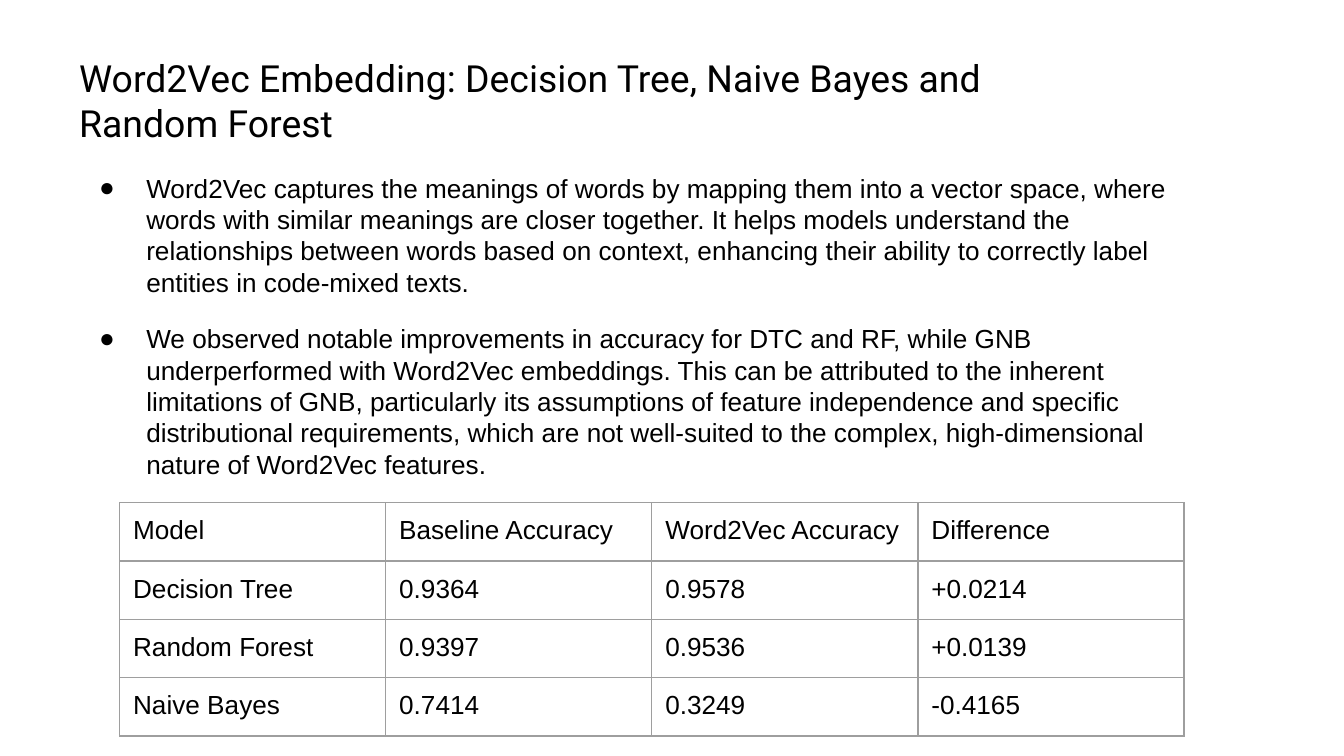
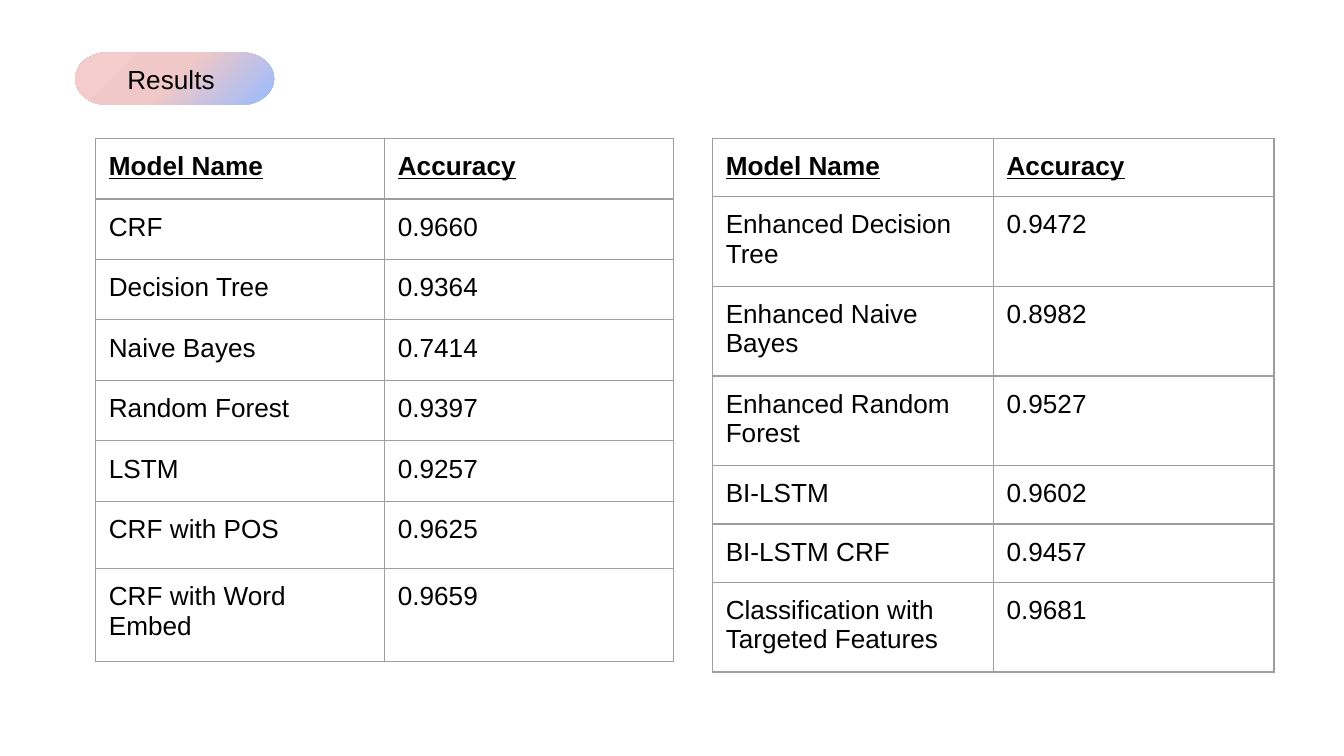
"""Build two slides comparing the accuracy of sequence labelling models."""
from lxml import etree
from pptx import Presentation, util as u
from pptx.dml.color import RGBColor
from pptx.enum import shapes, text
from pptx.oxml import parse_xml
from pptx.oxml.ns import nsdecls, qn

BLACK, GREY = "000000", "9E9E9E"
BODY_FONT, TITLE_FONT = "Arial", "Roboto"

TITLE = "Word2Vec Embedding: Decision Tree, Naive Bayes and Random Forest"
BULLETS = [
    "Word2Vec captures the meanings of words by mapping them into a vector space, where "
    "words with similar meanings are closer together. It helps models understand the "
    "relationships between words based on context, enhancing their ability to correctly "
    "label entities in code-mixed texts.",
    "We observed notable improvements in accuracy for DTC and RF, while GNB underperformed "
    "with Word2Vec embeddings. This can be attributed to the inherent limitations of GNB, "
    "particularly its assumptions of feature independence and specific distributional "
    "requirements, which are not well-suited to the complex, high-dimensional nature of "
    "Word2Vec features.",
]
COMPARISON = [
    ("Model", "Baseline Accuracy", "Word2Vec Accuracy", "Difference"),
    ("Decision Tree", "0.9364", "0.9578", "+0.0214"),
    ("Random Forest", "0.9397", "0.9536", "+0.0139"),
    ("Naive Bayes", "0.7414", "0.3249", "-0.4165"),
]
RESULTS_HEAD = ("Model Name", "Accuracy")
BASE_RESULTS = [
    RESULTS_HEAD,
    ("CRF", "0.9660"),
    ("Decision Tree", "0.9364"),
    ("Naive Bayes", "0.7414"),
    ("Random Forest", "0.9397"),
    ("LSTM", "0.9257"),
    ("CRF with POS", "0.9625"),
    ("CRF with Word Embed", "0.9659"),
]
ENHANCED_RESULTS = [
    RESULTS_HEAD,
    ("Enhanced Decision Tree", "0.9472"),
    ("Enhanced Naive Bayes", "0.8982"),
    ("Enhanced Random Forest", "0.9527"),
    ("BI-LSTM", "0.9602"),
    ("BI-LSTM CRF", "0.9457"),
    ("Classification with Targeted Features", "0.9681"),
]
BADGE_STOPS = [(0, "F4CCCC"), (50, "F0C8C8"), (100, "98BBFF")]


def rgb(value):
    return RGBColor.from_string(value)


def style(p, size=14, font=BODY_FONT, strong=False):
    for r in p.runs:
        r.font.size, r.font.name = u.Pt(size), font
        r.font.bold = r.font.underline = strong
        r.font.color.rgb = rgb(BLACK)


def set_insets(frame):
    for side in ("left", "top", "right", "bottom"):
        setattr(frame, f"margin_{side}", u.Inches(0.1))


def add_text(s, *box):
    tf = s.shapes.add_textbox(*map(u.Inches, box)).text_frame
    tf.word_wrap = True
    set_insets(tf)
    return tf


def add_bullet(p):
    p.line_spacing = 1.0
    pPr = p._p.get_or_add_pPr()
    pPr.set("marL", str(u.Inches(0.5)))
    pPr.set("indent", str(u.Inches(-0.35)))
    color = etree.SubElement(pPr, qn("a:buClr"))
    etree.SubElement(color, qn("a:srgbClr")).set("val", BLACK)
    etree.SubElement(pPr, qn("a:buSzPts")).set("val", "1400")
    etree.SubElement(pPr, qn("a:buFont")).set("typeface", BODY_FONT)
    etree.SubElement(pPr, qn("a:buChar")).set("char", "●")


def add_borders(cell):
    tcPr = cell._tc.get_or_add_tcPr()
    for side in ("lnL", "lnR", "lnT", "lnB"):
        ln = etree.SubElement(tcPr, qn(f"a:{side}"), w=str(u.Pt(0.75)))
        fill = etree.SubElement(ln, qn("a:solidFill"))
        etree.SubElement(fill, qn("a:srgbClr")).set("val", GREY)


def add_table(s, rows, left, top, col_width, heights, strong_head=False):
    columns = len(rows[0])
    table = s.shapes.add_table(
        len(rows), columns, u.Inches(left), u.Inches(top),
        u.Inches(col_width * columns), u.Inches(sum(heights))).table
    table.first_row = table.horz_banding = False
    for column in table.columns:
        column.width = u.Inches(col_width)
    for i, (row, height) in enumerate(zip(rows, heights)):
        table.rows[i].height = u.Inches(height)
        for j, value in enumerate(row):
            cell = table.cell(i, j)
            set_insets(cell)
            add_borders(cell)
            cell.fill.background()
            cell.text = value
            p = cell.text_frame.paragraphs[0]
            p.line_spacing = 1.0
            style(p, strong=strong_head and i == 0)


def add_badge(s, label, *box):
    sp = s.shapes.add_shape(shapes.MSO_SHAPE.FLOWCHART_TERMINATOR, *map(u.Inches, box))
    sp.shadow.inherit = False
    sp.line.fill.background()
    sp.fill.background()
    stops = "".join(f'<a:gs pos="{pos * 1000}"><a:srgbClr val="{color}"/></a:gs>'
                    for pos, color in BADGE_STOPS)
    gradient = parse_xml(
        f'<a:gradFill {nsdecls("a")}><a:gsLst>{stops}</a:gsLst><a:path path="circle">'
        '<a:fillToRect r="100000" b="100000"/></a:path></a:gradFill>')
    spPr = sp._element.spPr
    spPr.replace(spPr.find(qn("a:noFill")), gradient)
    tf = sp.text_frame
    set_insets(tf)
    tf.vertical_anchor = text.MSO_ANCHOR.MIDDLE
    tf.text = label
    tf.paragraphs[0].alignment = text.PP_ALIGN.CENTER
    style(tf.paragraphs[0])


def build_embedding(s):
    tf = add_text(s, 0.49, 0.31, 7.62, 0.88)
    tf.auto_size = text.MSO_AUTO_SIZE.SHAPE_TO_FIT_TEXT
    tf.text = TITLE
    style(tf.paragraphs[0], 20, TITLE_FONT)

    tf = add_text(s, 0.49, 1.18, 8.53, 4.29)
    tf.text = "\n".join(BULLETS)
    for i, p in enumerate(tf.paragraphs):
        p.space_before = u.Pt(13.5 if i else 0)
        add_bullet(p)
        style(p)
    add_table(s, COMPARISON, 0.89, 3.74, 1.98, [0.43] * 4)


def build_results(s):
    add_badge(s, "Results ", 0.56, 0.39, 1.48, 0.39)
    add_table(s, BASE_RESULTS, 0.71, 1.03, 2.15, [0.45] * 6 + [0.5, 0.69], True)
    add_table(s, ENHANCED_RESULTS, 5.3, 1.03, 2.09, [0.32] * len(ENHANCED_RESULTS), True)


def main():
    prs = Presentation()
    prs.slide_width = u.Inches(10)
    prs.slide_height = prs.slide_width * 9 // 16
    for build in (build_embedding, build_results):
        s = prs.slides.add_slide(prs.slide_layouts[6])
        s.background.fill.solid()
        s.background.fill.fore_color.rgb = rgb("FFFFFF")
        build(s)
    prs.save("out.pptx")


if __name__ == "__main__":
    main()
